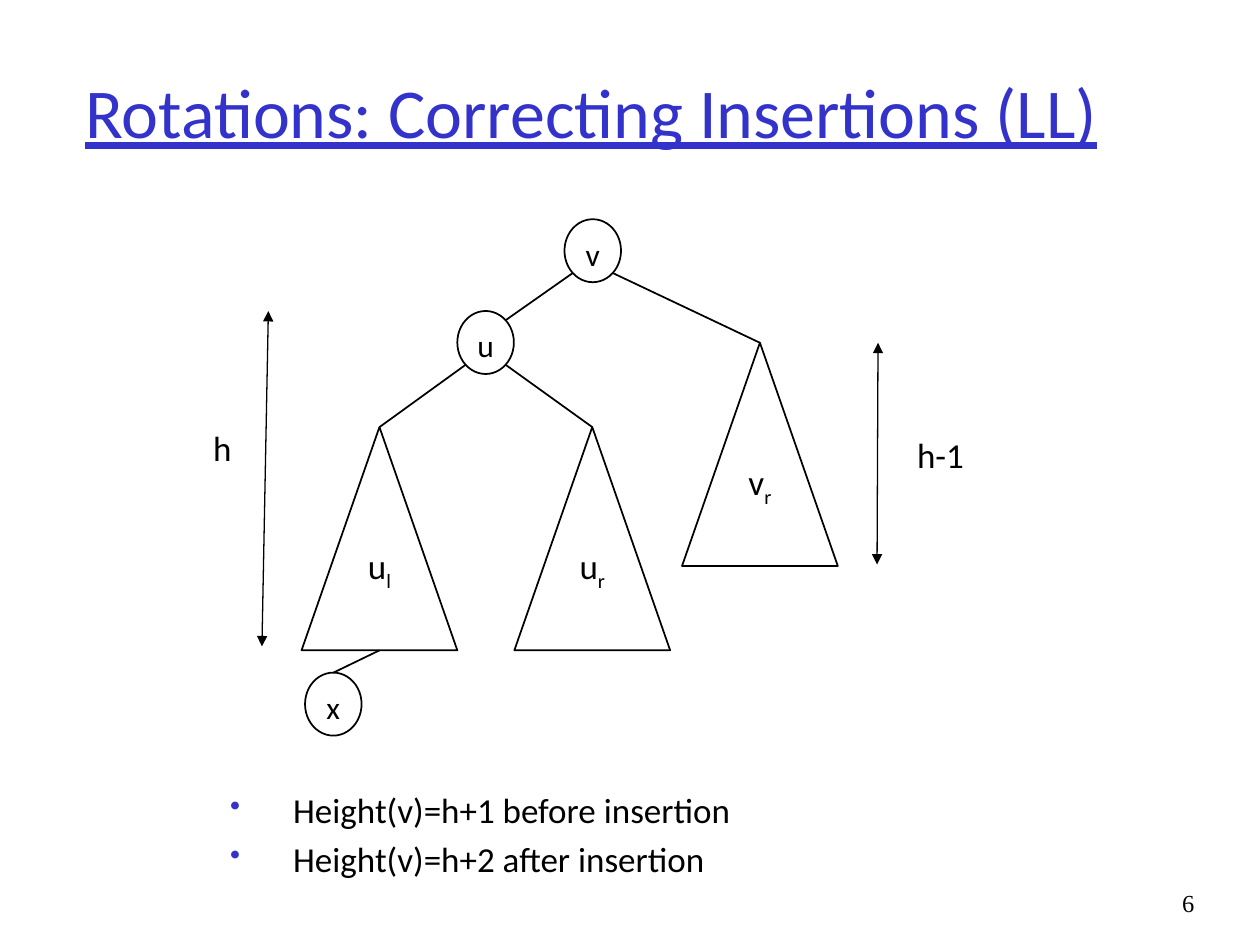
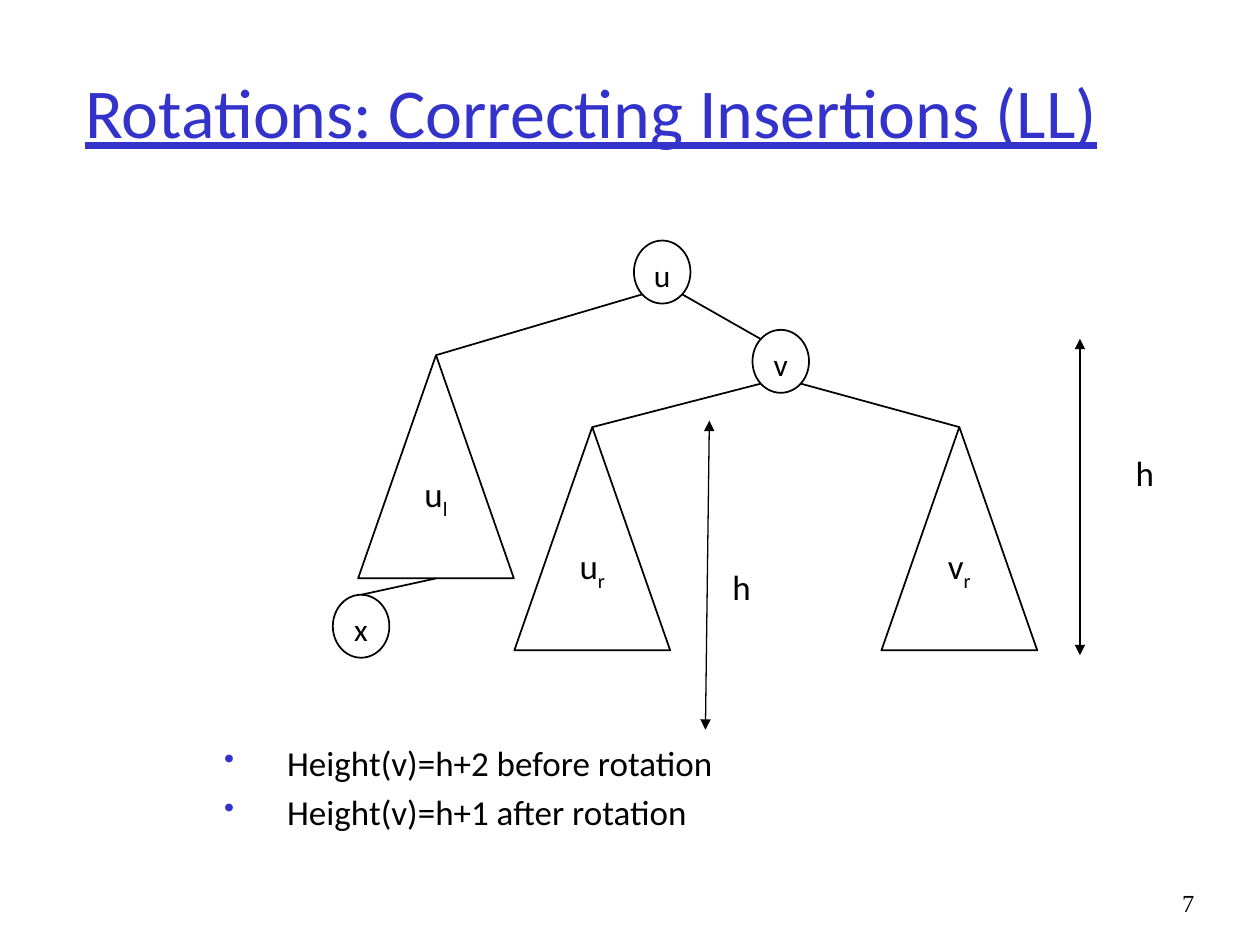
from dataclasses import dataclass

from lxml import etree
from pptx import Presentation
from pptx.dml.color import RGBColor
from pptx.enum import shapes, text
from pptx.oxml import ns
from pptx.util import Cm, Pt


@dataclass(frozen=True)
class Theme:
    accent = RGBColor(0x33, 0x33, 0xCC)
    ink = RGBColor(0, 0, 0)
    font = "Calibri"
    number_font = "Times New Roman"
    title_size = 40
    body_size = 20
    node_size = 18
    number_size = 14
    outline = 1
    arrow_width = 0.75


THEME = Theme()
TITLE = "Rotations: Correcting Insertions (LL)"
NODE_WIDTH, NODE_HEIGHT = 1.14, 1.27
SUBTREE_WIDTH, SUBTREE_HEIGHT = 3.14, 4.5
LABEL_WIDTH, LABEL_HEIGHT = 1.55, 0.91
DIAGONAL = 0.5 ** 0.5


# Text
def add_run(paragraph, words, size, color=THEME.ink, font=THEME.font):
    run = paragraph.add_run()
    run.text = words
    run.font.size = Pt(size)
    run.font.name = font
    run.font.color.rgb = color
    return run


def add_text_box(slide, left, top, width, height):
    box = slide.shapes.add_textbox(Cm(left), Cm(top), Cm(width), Cm(height))
    box.text_frame.word_wrap = True
    return box.text_frame


def add_title(slide):
    frame = add_text_box(slide, 1.47, 0.64, 21.59, 3.18)
    frame.vertical_anchor = text.MSO_ANCHOR.MIDDLE
    run = add_run(frame.paragraphs[0], TITLE, THEME.title_size, THEME.accent)
    run.font.underline = True


def add_slide_number(slide, number):
    paragraph = add_text_box(slide, 23.06, 17.78, 1.27, 1.27).paragraphs[0]
    paragraph.alignment = text.PP_ALIGN.RIGHT
    add_run(paragraph, str(number), THEME.number_size, font=THEME.number_font)


def add_height_label(slide, center, top, words):
    frame = add_text_box(slide, center - LABEL_WIDTH / 2, top, LABEL_WIDTH, LABEL_HEIGHT)
    paragraph = frame.paragraphs[0]
    paragraph.alignment = text.PP_ALIGN.CENTER
    add_run(paragraph, words, THEME.body_size)


def set_bullet(paragraph):
    properties = paragraph._p.get_or_add_pPr()
    properties.set("marL", str(Cm(1.27)))
    properties.set("indent", str(-Cm(1.27)))
    color = etree.SubElement(properties, ns.qn("a:buClr"))
    etree.SubElement(color, ns.qn("a:srgbClr"), val=str(THEME.accent))
    etree.SubElement(properties, ns.qn("a:buSzPct"), val="85000")
    etree.SubElement(properties, ns.qn("a:buChar"), char="•")


def add_bullets(slide, left, top, lines):
    frame = add_text_box(slide, left, top, 15.37, 2.44)
    for index, line in enumerate(lines):
        paragraph = frame.add_paragraph() if index else frame.paragraphs[0]
        set_bullet(paragraph)
        if index:
            paragraph.space_before = Pt(4)
        add_run(paragraph, line, THEME.body_size)


# Tree parts
def add_outlined_shape(slide, kind, center, top, width, height):
    shape = slide.shapes.add_shape(
        kind, Cm(center - width / 2), Cm(top), Cm(width), Cm(height))
    shape.shadow.inherit = False
    shape.fill.background()
    shape.line.color.rgb = THEME.ink
    shape.line.width = Pt(THEME.outline)
    frame = shape.text_frame
    frame.word_wrap = True
    frame.vertical_anchor = text.MSO_ANCHOR.TOP
    frame.margin_left = frame.margin_right = 0
    paragraph = frame.paragraphs[0]
    paragraph.alignment = text.PP_ALIGN.CENTER
    return paragraph


def add_node(slide, name, center, top):
    paragraph = add_outlined_shape(
        slide, shapes.MSO_SHAPE.OVAL, center, top, NODE_WIDTH, NODE_HEIGHT)
    add_run(paragraph, name, THEME.node_size)


def add_subtree(slide, name, center, top):
    paragraph = add_outlined_shape(
        slide, shapes.MSO_SHAPE.ISOSCELES_TRIANGLE, center, top,
        SUBTREE_WIDTH, SUBTREE_HEIGHT)
    parent, side = name
    add_run(paragraph, parent, THEME.body_size)
    subscript = add_run(paragraph, side, THEME.body_size)
    subscript._r.get_or_add_rPr().set("baseline", "-25000")


def add_line(slide, start, end, width=THEME.outline):
    line = slide.shapes.add_connector(
        shapes.MSO_CONNECTOR.STRAIGHT, *(Cm(value) for value in (*start, *end)))
    line.line.color.rgb = THEME.ink
    line.line.width = Pt(width)
    etree.SubElement(line._element.spPr, ns.qn("a:effectLst"))
    return line


def add_height_arrow(slide, start, end):
    arrow = add_line(slide, start, end, THEME.arrow_width)
    outline = arrow.line._get_or_add_ln()
    for tag in ("a:headEnd", "a:tailEnd"):
        etree.SubElement(outline, ns.qn(tag), type="triangle")


def node_rim(node, across, down):
    """Diagonal point on a node; across and down are -1 or 1."""
    center, top = node
    return (center + across * DIAGONAL * NODE_WIDTH / 2,
            top + NODE_HEIGHT / 2 * (1 + down * DIAGONAL))


def add_tree(slide, nodes, subtrees, root, child, child_side):
    """Draw both nodes, three subtrees and x; child_side is -1 (left) or 1."""
    for name, place in nodes.items():
        add_node(slide, name, *place)
    for name, place in subtrees.items():
        add_subtree(slide, name, *place)

    # Edges between nodes and subtrees
    left, middle, right = (subtrees[name] for name in ("ul", "ur", "vr"))
    outer, inner = (right, (left, middle)) if child_side < 0 else (left, (middle, right))
    add_line(slide, node_rim(nodes[root], child_side, 1),
             node_rim(nodes[child], -child_side, -1))
    add_line(slide, node_rim(nodes[root], -child_side, 1), outer)
    for side, apex in zip((-1, 1), inner):
        add_line(slide, node_rim(nodes[child], side, 1), apex)
    add_line(slide, (left[0], left[1] + SUBTREE_HEIGHT), nodes["x"])


def add_base_slide(presentation, number):
    slide = presentation.slides.add_slide(presentation.slide_layouts[6])
    add_title(slide)
    add_slide_number(slide, number)
    return slide


# Slides
def build_insertion_slide(presentation):
    slide = add_base_slide(presentation, 6)
    add_tree(slide,
             {"v": (11.95, 4.42), "x": (6.72, 13.56), "u": (9.79, 6.27)},
             {"vr": (15.32, 6.91), "ur": (11.94, 8.61), "ul": (7.65, 8.61)},
             root="v", child="u", child_side=-1)
    add_height_arrow(slide, (17.7, 6.91), (17.68, 11.38))
    add_height_label(slide, 18.96, 8.61, "h-1")
    add_height_arrow(slide, (5.41, 6.27), (5.28, 13.03))
    add_height_label(slide, 4.48, 8.48, "h")
    add_bullets(slide, 4.39, 15.77, ("Height(v)=h+1 before insertion",
                                     "Height(v)=h+2 after insertion"))


def build_rotation_slide(presentation):
    slide = add_base_slide(presentation, 7)
    add_tree(slide,
             {"v": (15.74, 6.65), "x": (7.28, 11.99), "u": (13.35, 4.85)},
             {"vr": (19.34, 8.61), "ur": (11.94, 8.61), "ul": (8.79, 7.16)},
             root="u", child="v", child_side=1)
    add_height_arrow(slide, (21.77, 6.83), (21.77, 13.21))
    add_height_label(slide, 23.08, 8.97, "h")
    add_height_arrow(slide, (14.3, 8.48), (14.22, 14.71))
    add_height_label(slide, 14.95, 11.28, "h")
    add_bullets(slide, 4.27, 14.83, ("Height(v)=h+2 before rotation",
                                     "Height(v)=h+1 after rotation"))


def main():
    presentation = Presentation()
    presentation.slide_width, presentation.slide_height = Cm(25.4), Cm(19.05)
    build_insertion_slide(presentation)
    build_rotation_slide(presentation)
    presentation.save("out.pptx")


if __name__ == "__main__":
    main()
